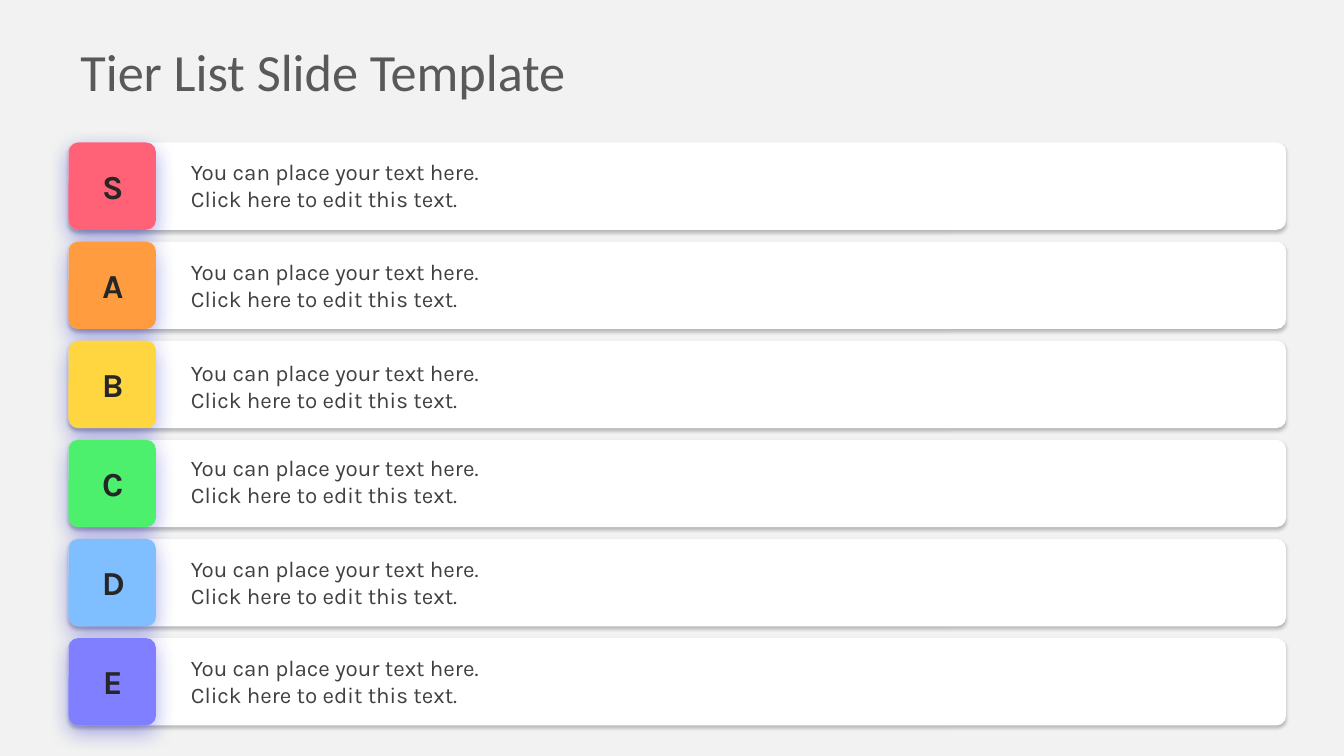
"""Build a tier list slide with six labelled rows."""
from dataclasses import dataclass

from lxml import etree
from pptx import Presentation
from pptx.dml.color import RGBColor
from pptx.enum.shapes import MSO_SHAPE
from pptx.enum.text import MSO_ANCHOR, PP_ALIGN
from pptx.oxml.ns import qn
from pptx.util import Emu, Pt

ROUNDED = MSO_SHAPE.ROUNDED_RECTANGLE
TOP, MIDDLE = MSO_ANCHOR.TOP, MSO_ANCHOR.MIDDLE
LEFT, CENTER = PP_ALIGN.LEFT, PP_ALIGN.CENTER

PX_PER_INCH = 400
EMU_PER_POINT = 12700
ROW_LEFT, ROW_TOP, ROW_WIDTH = 204, 424, 3624
ROW_SIZE, ROW_PITCH = 260, 295
CAPTION = "You can place your text here. Click here to edit this text."


@dataclass(frozen=True)
class Box:
    left: int
    top: int
    width: int
    height: int


@dataclass(frozen=True)
class Shadow:
    color: str
    opacity: int
    blur: float
    distance: float


@dataclass(frozen=True)
class Style:
    font: str
    size: int
    color: str
    bold: bool = False
    align: PP_ALIGN = LEFT
    anchor: MSO_ANCHOR = TOP


@dataclass(frozen=True)
class Tier:
    letter: str
    color: str
    glow: int
    caption_offset: int


TIERS = [
    Tier("S", "FF6277", 35, 48),
    Tier("A", "FE9C3F", 33, 49),
    Tier("B", "FFD540", 33, 54),
    Tier("C", "4CF06C", 33, 43),
    Tier("D", "7FBEFF", 33, 48),
    Tier("E", "7F7FFF", 33, 49),
]
TITLE = Style("Calibri", 28, "595959", anchor=MIDDLE)
LETTER = Style("Karla", 18, "262626", bold=True, align=CENTER)
BODY = Style("Karla", 12, "404040")
CARD_SHADOW = Shadow("000000", 23, 2, 1)


def px(length: int) -> Emu:
    return Emu(length * 914400 // PX_PER_INCH)


def rgb(color: str) -> RGBColor:
    return RGBColor.from_string(color)


def place(box: Box) -> tuple[Emu, Emu, Emu, Emu]:
    return px(box.left), px(box.top), px(box.width), px(box.height)


def add_shadow(shape, shadow: Shadow) -> None:
    shape.shadow.inherit = False
    effects = shape._element.spPr.find(qn("a:effectLst"))
    outer = etree.SubElement(
        effects,
        qn("a:outerShdw"),
        blurRad=str(round(shadow.blur * EMU_PER_POINT)),
        dist=str(round(shadow.distance * EMU_PER_POINT)),
        dir="5400000",
        algn="t",
        rotWithShape="0",
    )
    color = etree.SubElement(outer, qn("a:srgbClr"), val=shadow.color)
    etree.SubElement(color, qn("a:alpha"), val=str(shadow.opacity * 1000))


def add_card(page, box: Box, color: str, shadow: Shadow) -> None:
    card = page.shapes.add_shape(ROUNDED, *place(box))
    card.adjustments[0] = 0.11
    card.fill.solid()
    card.fill.fore_color.rgb = rgb(color)
    card.line.fill.background()
    add_shadow(card, shadow)


def add_text(page, box: Box, text: str, style: Style,
             wrap: bool = True, inset: bool = True) -> None:
    frame = page.shapes.add_textbox(*place(box)).text_frame
    frame.word_wrap = wrap
    frame.vertical_anchor = style.anchor
    if not inset:
        frame.margin_left = frame.margin_right = 0
        frame.margin_top = frame.margin_bottom = 0
    frame.text = text
    para = frame.paragraphs[0]
    para.alignment = style.align
    font = para.runs[0].font
    font.name = style.font
    font.size = Pt(style.size)
    font.bold = style.bold
    font.color.rgb = rgb(style.color)


def main() -> None:
    deck = Presentation()
    deck.slide_width, deck.slide_height = px(4000), px(2250)
    page = deck.slides.add_slide(deck.slide_layouts[6])
    page.background.fill.solid()
    page.background.fill.fore_color.rgb = rgb("F1F2F1")

    rows = [(ROW_TOP + index * ROW_PITCH, tier) for index, tier in enumerate(TIERS)]
    for top, tier in rows:
        add_card(page, Box(ROW_LEFT, top, ROW_WIDTH, ROW_SIZE), "FFFFFF", CARD_SHADOW)
    for top, tier in rows:
        glow = Shadow("0000BF", tier.glow, 11.7, 4)
        add_card(page, Box(ROW_LEFT, top, ROW_SIZE, ROW_SIZE), tier.color, glow)

    add_text(page, Box(200, 92, 3600, 236), "Tier List Slide Template", TITLE)
    for top, tier in rows:
        add_text(page, Box(264, top + 50, 144, 160), tier.letter, LETTER, wrap=False)
    for top, tier in rows:
        caption = Box(568, top + tier.caption_offset, 880, 164)
        add_text(page, caption, CAPTION, BODY, inset=False)

    deck.save("out.pptx")


if __name__ == "__main__":
    main()
